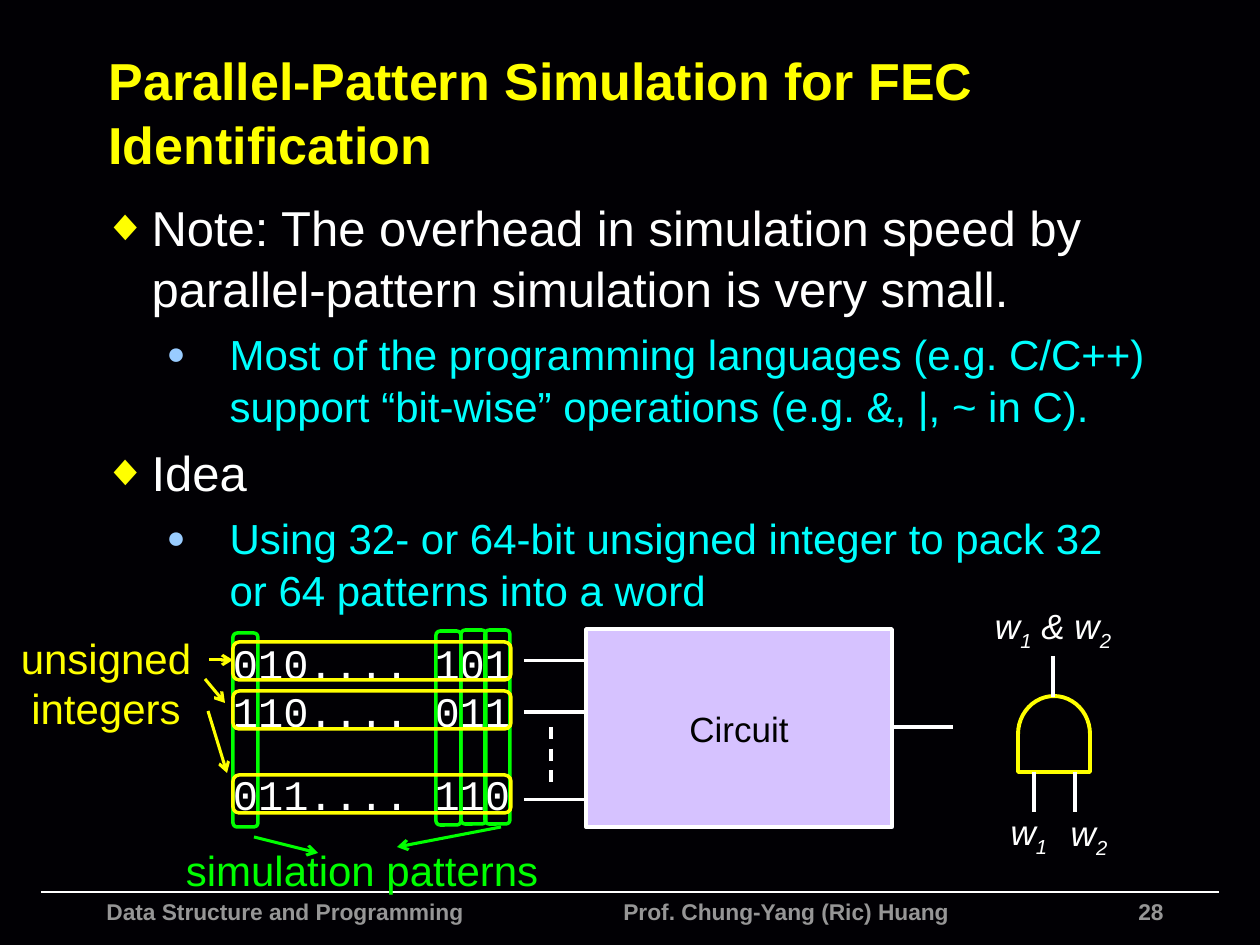
from lxml import etree
from pptx import Presentation
from pptx import util as u
from pptx.dml.color import RGBColor
from pptx.enum import dml, shapes, text
from pptx.oxml.ns import qn

C = {"bg": "010004", "white": "FFFFFF", "yellow": "FFFF00", "green": "00FF00",
     "cyan": "00FFFF", "blue": "99CCFF", "gray": "969696", "lilac": "D6C2FF",
     "black": "000000"}
SHAPE = shapes.MSO_SHAPE
ALIGN = text.PP_ALIGN
ANCHOR = text.MSO_ANCHOR


def px(n):
    return u.Emu(round(n * 914400 / 126))


def rgb(name):
    return RGBColor.from_string(C[name])


def add_run(p, words, color, size, sub=False, **fmt):
    r = p.add_run()
    r.text = words
    for key, value in {"name": "Arial", "size": u.Pt(size), **fmt}.items():
        setattr(r.font, key, value)
    r.font.color.rgb = rgb(color)
    if sub:
        r.font._element.set("baseline", "-25000")


def add_text(s, box, words, color, size, align=ALIGN.CENTER, wrap=False, **fmt):
    """Text box; words is a string or a list of (string, is_subscript)."""
    tf = s.shapes.add_textbox(*map(px, box)).text_frame
    tf.word_wrap = wrap
    p = tf.paragraphs[0]
    p.alignment = align
    parts = [(words, False)] if isinstance(words, str) else words
    for part, sub in parts:
        add_run(p, part, color, size, sub, **fmt)


def add_line(s, ends, color="white", width=1.75, arrow=False, dash=False):
    ln = s.shapes.add_connector(shapes.MSO_CONNECTOR.STRAIGHT, *map(px, ends))
    ln.line.color.rgb = rgb(color)
    ln.line.width = u.Pt(width)
    if dash:
        ln.line.dash_style = dml.MSO_LINE.DASH
    if arrow:
        etree.SubElement(ln.line._get_or_add_ln(), qn("a:tailEnd"), type="arrow")
    etree.SubElement(ln._element.spPr, qn("a:effectLst"))


def add_outline(s, kind, box, color, width=2, fill=None):
    sp = s.shapes.add_shape(kind, *map(px, box))
    sp.shadow.inherit = False
    sp.line.color.rgb = rgb(color)
    sp.line.width = u.Pt(width)
    if fill:
        sp.fill.solid()
        sp.fill.fore_color.rgb = rgb(fill)
    else:
        sp.fill.background()
    return sp


def place(sp, box):
    for key, value in zip(("left", "top", "width", "height"), box):
        setattr(sp, key, px(value))
    tf = sp.text_frame
    tf.auto_size = text.MSO_AUTO_SIZE.NONE
    tf.word_wrap = True
    return tf


def add_title(s, words):
    tf = place(s.shapes.title, (96, 47, 1114, 127))
    tf.vertical_anchor = ANCHOR.MIDDLE
    p = tf.paragraphs[0]
    p.alignment = ALIGN.LEFT
    p.line_spacing = 1.04
    add_run(p, words, "yellow", 29.7, bold=True)


def add_bullets(s, items):
    levels = [
        {"color": "white", "size": 28, "mar": 48, "hang": 48,
         "char": "◆", "mark": "yellow", "pct": 90},
        {"color": "cyan", "size": 24, "mar": 126, "hang": 63,
         "char": "●", "mark": "blue", "pct": 75},
    ]
    tf = place(s.placeholders[1], (91, 189, 1071, 651))
    tf.vertical_anchor = ANCHOR.TOP
    for i, (level, words) in enumerate(items):
        f = levels[level]
        p = tf.add_paragraph() if i else tf.paragraphs[0]
        formats = {"level": level, "alignment": ALIGN.LEFT, "line_spacing": 1.04,
                   "space_before": u.Pt(f["size"] * 0.2)}
        for key, value in formats.items():
            setattr(p, key, value)
        pPr = p._p.get_or_add_pPr()
        pPr.set("marL", str(px(f["mar"])))
        pPr.set("indent", str(-px(f["hang"])))
        clr = etree.SubElement(pPr, qn("a:buClr"))
        etree.SubElement(clr, qn("a:srgbClr"), val=C[f["mark"]])
        etree.SubElement(pPr, qn("a:buSzPct"), val=str(f["pct"] * 1000))
        etree.SubElement(pPr, qn("a:buFont"), typeface="Arial")
        etree.SubElement(pPr, qn("a:buChar"), char=f["char"])
        add_run(p, words, f["color"], f["size"])


def add_footer(s):
    add_line(s, (41, 892, 1219, 892), width=1)
    for left, width, words, align in [
            (94, 480, "Data Structure and Programming", ALIGN.LEFT),
            (611, 400, "Prof. Chung-Yang (Ric) Huang", ALIGN.LEFT),
            (777, 399, "28", ALIGN.RIGHT)]:
        add_text(s, (left, 892, width, 40), words, "gray", 13, align, True, bold=True)


def add_patterns(s):
    # Words, one unsigned integer per row
    for top, bits in [(631, "010.... 101"), (679, "110.... 011"), (762, "011.... 110")]:
        add_text(s, (219, top, 305, 64), bits, "white", 24, name="Courier New")
    add_text(s, (8, 626, 196, 115), "unsigned integers", "yellow", 24, wrap=True)
    for ends in [(209, 660, 233, 660), (205, 679, 225, 703), (208, 711, 227, 773)]:
        add_line(s, ends, "yellow", arrow=True)
    # Columns are patterns, rows are integers
    for left, top in [(485, 630), (461, 630), (436, 631), (233, 633)]:
        add_outline(s, SHAPE.ROUNDED_RECTANGLE, (left, top, 25, 194), "green")
    for top in (642, 691, 775):
        add_outline(s, SHAPE.ROUNDED_RECTANGLE, (233, top, 278, 38), "yellow")
    for ends in [(254, 837, 318, 853), (501, 827, 397, 847)]:
        add_line(s, ends, "green", arrow=True)
    add_text(s, (170, 838, 384, 64), "simulation patterns", "green", 24, wrap=True)


def add_circuit(s):
    sp = add_outline(s, SHAPE.RECTANGLE, (586, 629, 306, 198), "white", fill="lilac")
    tf = sp.text_frame
    tf.vertical_anchor = ANCHOR.MIDDLE
    tf.paragraphs[0].alignment = ALIGN.CENTER
    add_run(tf.paragraphs[0], "Circuit", "black", 20)
    for y in (661, 712, 800):
        add_line(s, (524, y, 586, y))
    add_line(s, (551, 727, 551, 789), dash=True)
    add_line(s, (891, 727, 953, 727))


def add_gate(s):
    gate = add_outline(s, SHAPE.FLOWCHART_DELAY, (1016, 698, 76, 72), "yellow", 2.25)
    gate.rotation = 270
    for x, top, bottom in [(1034, 772, 812), (1075, 772, 812), (1053, 656, 697)]:
        add_line(s, (x, top, x, bottom))
    w1, w2 = [("w", False), ("1", True)], [("w", False), ("2", True)]
    both = w1 + [(" & w", False), ("2", True)]
    for box, words in [((997, 804, 64, 55), w1), ((1057, 805, 64, 55), w2),
                       ((980, 598, 146, 55), both)]:
        add_text(s, box, words, "white", 20, italic=True)


def main():
    prs = Presentation()
    prs.slide_width, prs.slide_height = px(1260), px(945)
    s = prs.slides.add_slide(prs.slide_layouts[1])
    s.background.fill.solid()
    s.background.fill.fore_color.rgb = rgb("bg")
    add_footer(s)
    add_title(s, "Parallel-Pattern Simulation for FEC Identification")
    add_bullets(s, [
        (0, "Note: The overhead in simulation speed by parallel-pattern "
            "simulation is very small."),
        (1, "Most of the programming languages (e.g. C/C++) support “bit-wise” "
            "operations (e.g. &, |, ~ in C)."),
        (0, "Idea"),
        (1, "Using 32- or 64-bit unsigned integer to pack 32 or 64 patterns "
            "into a word"),
    ])
    add_patterns(s)
    add_gate(s)
    add_circuit(s)
    prs.save("out.pptx")


if __name__ == "__main__":
    main()
